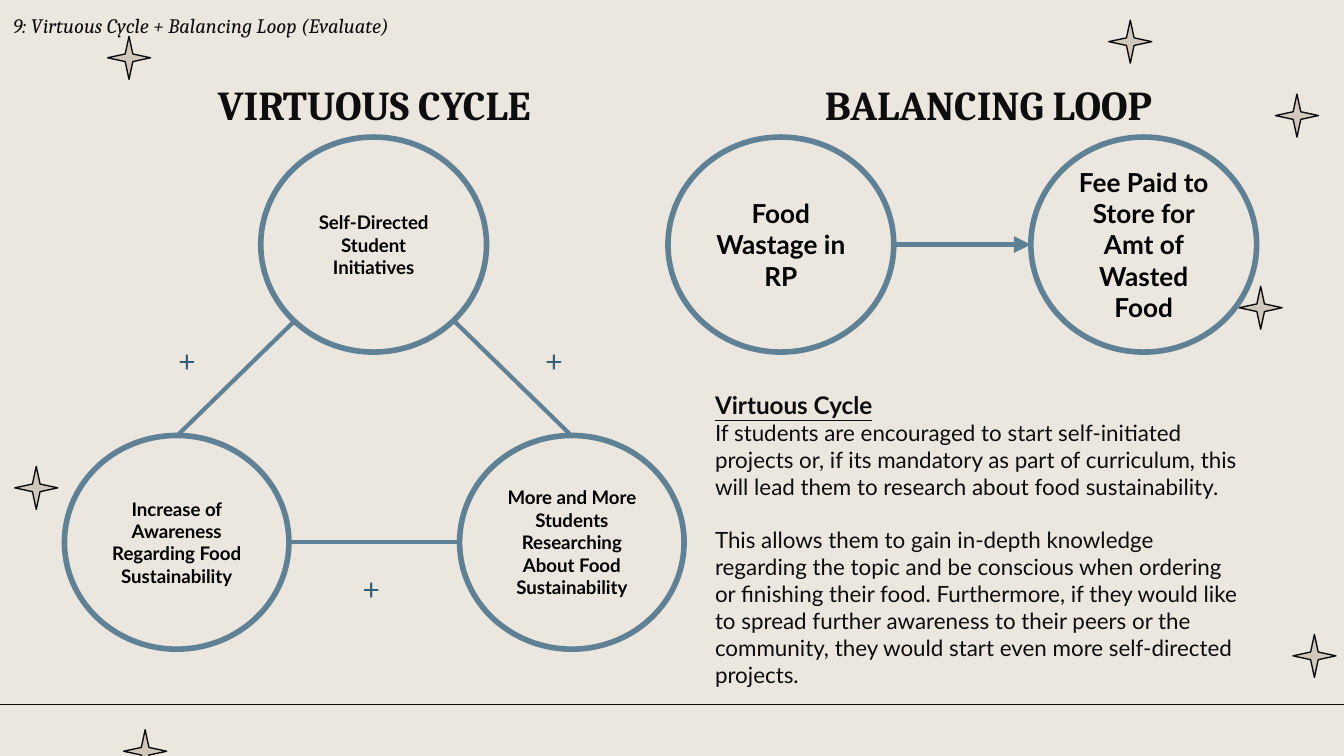
from pptx import Presentation
from pptx.dml.color import RGBColor as RGB
from pptx.enum.shapes import MSO_CONNECTOR as Link, MSO_SHAPE as Form
from pptx.enum.text import MSO_ANCHOR as Anchor, MSO_AUTO_SIZE as Fit, PP_ALIGN as Align
from pptx.oxml.ns import qn
from pptx.util import Inches, Pt
from lxml.etree import SubElement as Sub

TONE = {"paper": "EBE6DE", "ink": "0D0D0D", "black": "000000",
        "star": "D1C8BD", "ring": "5F8195", "plus": "325D79"}

deck = Presentation()
deck.slide_width = Inches(10)
deck.slide_height = deck.slide_width * 9 // 16
unit = deck.slide_width // 100
slide = deck.slides.add_slide(deck.slide_layouts[1])
slide.background.fill.solid()
slide.background.fill.fore_color.rgb = RGB.from_string(TONE["paper"])
shapes = slide.shapes


def grid(*cells):
    return [round(cell * unit) for cell in cells]


def write(box, text, size=12, face="Lato", tone="ink", bold=False, slant=False,
          under=False, align=Align.LEFT, anchor=Anchor.TOP, gap=0):
    frame = box.text_frame
    frame.word_wrap = True
    frame.auto_size = Fit.NONE
    frame.vertical_anchor = anchor
    frame.margin_left = frame.margin_right = unit
    frame.margin_top = frame.margin_bottom = unit
    para = frame.add_paragraph() if frame.text else frame.paragraphs[0]
    props = para._p.get_or_add_pPr()
    props.set("marL", "0")
    props.set("indent", "0")
    Sub(props, qn("a:buNone"))
    para.alignment = align
    para.space_before, para.space_after = Pt(gap), Pt(0)
    run = para.add_run()
    run.text = text
    font = run.font
    font.name, font.size = face, Pt(size)
    font.bold, font.italic, font.underline = bold, slant, under
    font.color.rgb = RGB.from_string(TONE[tone])


title, body = slide.placeholders
other = shapes.add_textbox(*grid(54.3, 4.9, 38.5, 5.7))
title.left, title.top, title.width, title.height = grid(8.6, 4.9, 38.5, 5.7)
for box, text in ((title, "VIRTUOUS CYCLE"), (other, "BALANCING LOOP")):
    write(box, text, size=22, face="Cambria", bold=True, align=Align.CENTER)

body.left, body.top, body.width, body.height = grid(52.2, 28, 41.3, 24.4)
write(body, "Virtuous Cycle", size=13, bold=True, under=True)
write(body, "If students are encouraged to start self-initiated projects or, if its "
      "mandatory as part of curriculum, this will lead them to research about food "
      "sustainability.")
write(body, "This allows them to gain in-depth knowledge regarding the topic and be "
      "conscious when ordering or finishing their food. Furthermore, if they would like "
      "to spread further awareness to their peers or the community, they would start "
      "even more self-directed projects.", gap=14.4)

label = shapes.add_textbox(*grid(0, 0, 37.6, 3.9))
write(label, "9: Virtuous Cycle + Balancing Loop (Evaluate)",
      size=11, face="Cambria", slant=True)

STARS = [(1.1, 34.7), (9.2, 54.3), (82.5, 1.5), (94.9, 7),
         (92.2, 21.3), (96.2, 47.2), (8, 2.7)]
RINGS = [(19.4, 10.2, 16.8, 16, 10, "Self-Directed Student Initiatives"),
         (4.8, 32.4, 16.7, 15.9, 10, "Increase of Awareness Regarding Food Sustainability"),
         (34.2, 32.4, 16.7, 15.9, 10,
          "More and More Students Researching About Food Sustainability"),
         (49.7, 10.2, 16.8, 16, 14, "Food Wastage in RP"),
         (76.7, 10.2, 16.8, 16, 14, "Fee Paid to Store for Amt of Wasted Food")]
nodes = [(Form.STAR_4_POINT, x, y, 3.2, 3.2, "star", "ink", 0.75, 0, "") for x, y in STARS]
nodes += [(Form.OVAL, x, y, wide, high, "paper", "ring", 3, size, text)
          for x, y, wide, high, size, text in RINGS]
for form, x, y, wide, high, fill, edge, thick, size, text in nodes:
    node = shapes.add_shape(form, *grid(x, y, wide, high))
    node.shadow.inherit = False
    node.fill.solid()
    node.fill.fore_color.rgb = RGB.from_string(TONE[fill])
    node.line.color.rgb = RGB.from_string(TONE[edge])
    node.line.width = Pt(thick)
    if text:
        write(node, text, size=size, tone="black", bold=True,
              align=Align.CENTER, anchor=Anchor.MIDDLE)
    else:
        node.adjustments[0] = 0.125

LINES = [(0, 52.4, 100, 52.4, "ink", 0.75, False),
         (33.8, 23.9, 42.5, 32.4, "ring", 2.25, False),
         (21.5, 40.3, 34.2, 40.3, "ring", 2.25, False),
         (13.2, 32.4, 21.9, 23.9, "ring", 2.25, False),
         (66.5, 18.2, 76.7, 18.2, "ring", 3, True)]
for *ends, tone, thick, arrow in LINES:
    link = shapes.add_connector(Link.STRAIGHT, *grid(*ends))
    link.line.color.rgb = RGB.from_string(TONE[tone])
    link.line.width = Pt(thick)
    if arrow:
        Sub(link.line._get_or_add_ln(), qn("a:tailEnd"), type="triangle")
    Sub(link._element.spPr, qn("a:effectLst"))

for x, y in ((39.6, 24.5), (26, 41.5), (12.3, 24.5)):
    sign = shapes.add_textbox(*grid(x, y, 3.7, 4.7))
    write(sign, "+", size=16, tone="plus")

deck.save("out.pptx")
